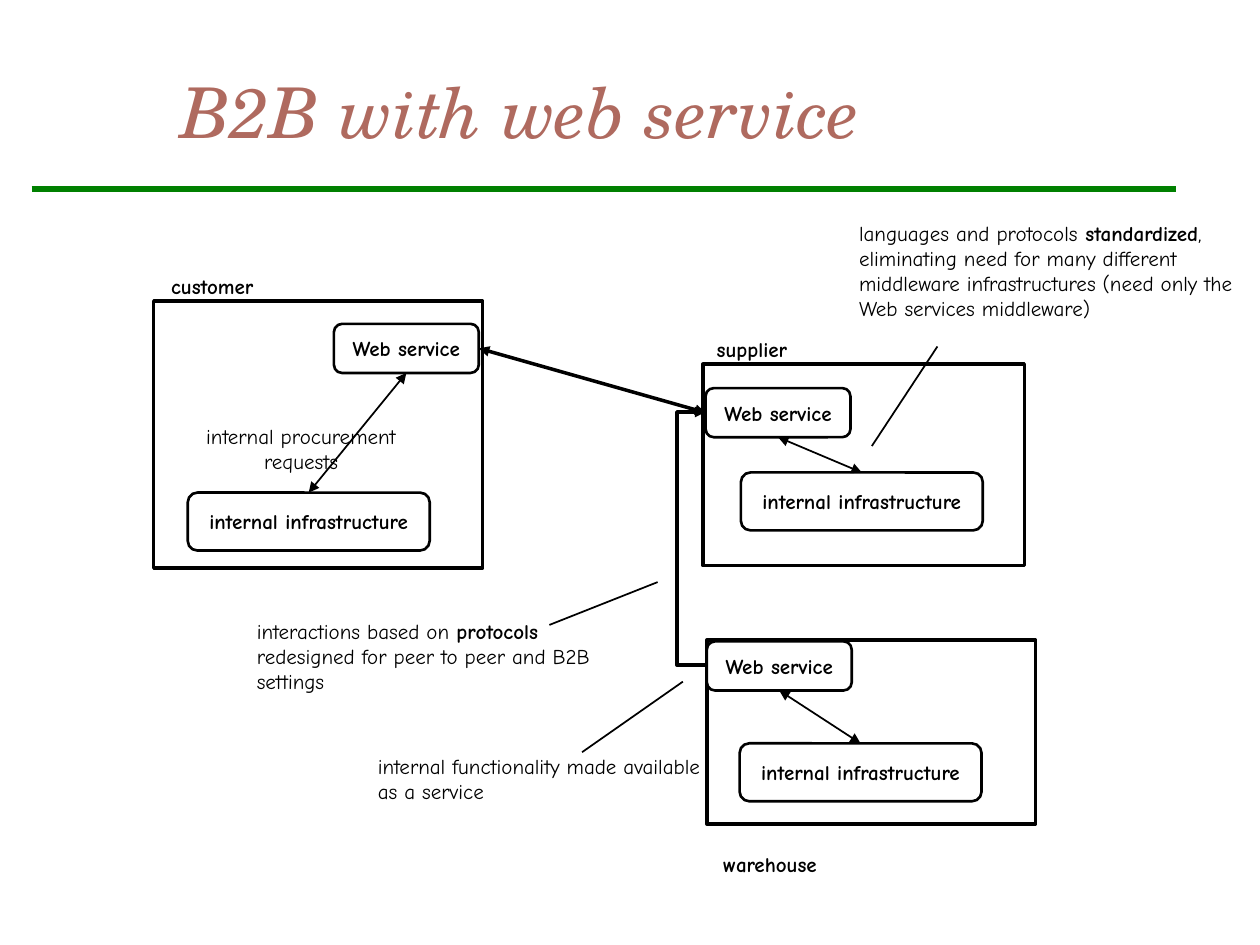
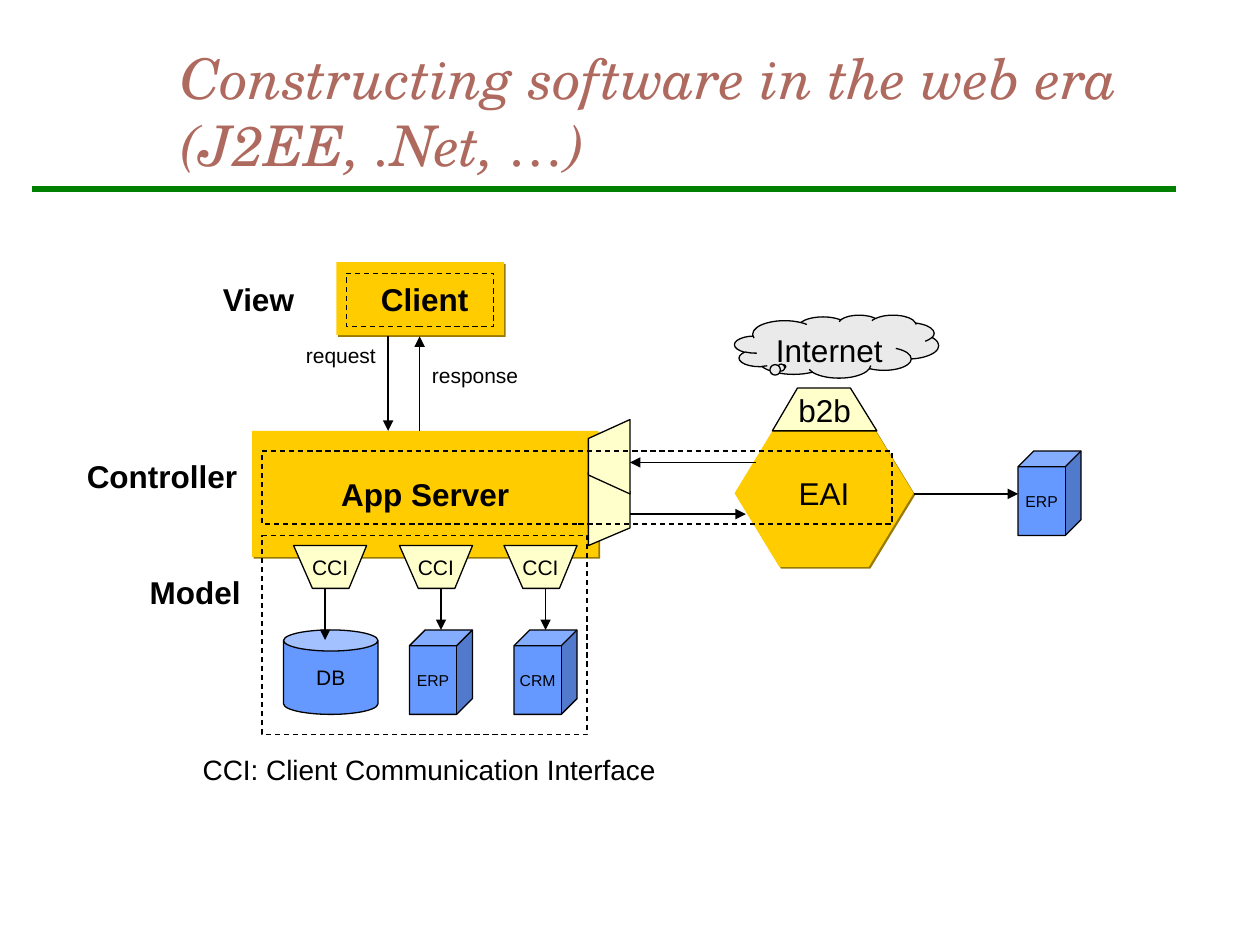
from dataclasses import dataclass

from lxml import etree
from pptx import Presentation
from pptx.dml.color import RGBColor
from pptx.enum.dml import MSO_LINE
from pptx.enum.shapes import MSO_CONNECTOR, MSO_SHAPE
from pptx.enum.text import MSO_ANCHOR, MSO_AUTO_SIZE, PP_ALIGN
from pptx.oxml import parse_xml
from pptx.oxml.ns import nsdecls, qn
from pptx.util import Inches, Pt

RECT, ROUND = MSO_SHAPE.RECTANGLE, MSO_SHAPE.ROUNDED_RECTANGLE
CAN, CUBE = MSO_SHAPE.CAN, MSO_SHAPE.CUBE
HEX, CLOUD = MSO_SHAPE.HEXAGON, MSO_SHAPE.CLOUD_CALLOUT
LINE, ELBOW = MSO_CONNECTOR.STRAIGHT, MSO_CONNECTOR.ELBOW
LEFT, CENTER = PP_ALIGN.LEFT, PP_ALIGN.CENTER
TOP, MIDDLE = MSO_ANCHOR.TOP, MSO_ANCHOR.MIDDLE
FIT, FIXED = MSO_AUTO_SIZE.SHAPE_TO_FIT_TEXT, MSO_AUTO_SIZE.NONE
DASH = MSO_LINE.DASH


@dataclass(frozen=True)
class Theme:
    ink: str = "000000"
    rule: str = "008000"
    title: str = "AF6A5F"
    white: str = "FFFFFF"
    gold: str = "FFCC00"
    shade: str = "997A00"
    blue: str = "6699FF"
    cream: str = "FFFFCC"
    gray: str = "EAEAEA"
    serif: str = "TeX Gyre Schola"
    comic: str = "Comic Neue"
    sans: str = "Arial"
    head: int = 40
    subhead: int = 32
    large: int = 18
    note: int = 16
    text: int = 12
    small: int = 9
    thin: float = 0.75
    fine: float = 1
    edge: float = 1.5
    bold: float = 2
    band: float = 4


T = Theme()


def box(slide, kind, at, text="", font=T.sans, size=T.text, fill=None,
        line=None, dash=None, wrap=False, adj=(), shadow=False):
    """Draw a preset shape, an outline (kind is a list of points) or, if kind
    is None, a text box. Stars in the text enclose bold runs."""
    shapes = slide.shapes
    if isinstance(kind, list):
        first, *rest = [(Inches(x), Inches(y)) for x, y in kind]
        pen = shapes.build_freeform(*first)
        pen.add_line_segments(rest, close=True)
        shape = pen.convert_to_shape()
    elif kind is None:
        shape = shapes.add_textbox(*map(Inches, at))
    else:
        shape = shapes.add_shape(kind, *map(Inches, at))
        for i, value in enumerate(adj):
            shape.adjustments[i] = value
    if kind is not None:
        shape.shadow.inherit = False
        if fill:
            shape.fill.solid()
            shape.fill.fore_color.rgb = RGBColor.from_string(fill)
        else:
            shape.fill.background()
        if line:
            shape.line.color.rgb = RGBColor.from_string(T.ink)
            shape.line.width = Pt(line)
            shape.line.dash_style = dash
        else:
            shape.line.fill.background()
    if shadow:
        shape._element.spPr.find(qn("a:effectLst")).append(parse_xml(
            f'<a:outerShdw {nsdecls("a")} dist="17780" dir="2700000" algn="ctr" '
            f'rotWithShape="0"><a:srgbClr val="{T.shade}"/></a:outerShdw>'))
    if text:
        frame = shape.text_frame
        frame.word_wrap = wrap
        frame.auto_size = FIT if kind is None else FIXED
        frame.vertical_anchor = TOP if kind in (None, CLOUD) else MIDDLE
        for n, words in enumerate(text.split("\n")):
            para = frame.add_paragraph() if n else frame.paragraphs[0]
            para.alignment = LEFT if kind is None else CENTER
            for i, part in enumerate(words.split("*")):
                if part:
                    run = para.add_run()
                    run.text = part
                    run.font.name, run.font.size = font, Pt(size)
                    run.font.bold = i % 2 == 1
                    run.font.color.rgb = RGBColor.from_string(T.ink)
    return shape


def link(slide, start, end, width, heads=(), color=T.ink, kind=LINE):
    """Connect two points, or two (shape, side) pairs."""
    joined = not isinstance(start[0], (int, float))
    ends = (0, 0, 0, 0) if joined else (*start, *end)
    wire = slide.shapes.add_connector(kind, *map(Inches, ends))
    if joined:
        wire.begin_connect(*start)
        wire.end_connect(*end)
    wire.line.color.rgb = RGBColor.from_string(color)
    wire.line.width = Pt(width)
    for tag in heads:
        etree.SubElement(wire.line._get_or_add_ln(), qn(f"a:{tag}"), type="triangle")
    etree.SubElement(wire._element.spPr, qn("a:effectLst"))
    return wire


BOTH, TAIL = ("headEnd", "tailEnd"), ("tailEnd",)

prs = Presentation()
prs.slide_width, prs.slide_height = Inches(10), Inches(7.5)

# Title and rule on both slides
slides = []
for lines, size in ((["B2B with web service"], T.head),
                    (["Constructing software in the web era", "(J2EE, .Net, …)"], T.subhead)):
    slide = prs.slides.add_slide(prs.slide_layouts[5])
    link(slide, (0.25, 1.5), (9.33, 1.5), T.band, color=T.rule)
    title = slide.shapes.title
    title.left, title.top = Inches(1.33), Inches(0.42)
    title.width, title.height = Inches(8.5), Inches(0.92)
    frame = title.text_frame
    frame.word_wrap, frame.auto_size = True, FIXED
    frame.vertical_anchor = MIDDLE
    para = frame.paragraphs[0]
    para.alignment = LEFT
    for n, words in enumerate(lines):
        if n:
            para.add_line_break()
        run = para.add_run()
        run.text = words
        run.font.name, run.font.size = T.serif, Pt(size)
        run.font.italic = True
        run.font.color.rgb = RGBColor.from_string(T.title)
    slides.append(slide)
b2b, web = slides

# Slide 1: three parties, each with a service and its infrastructure
parties = (
    # name, name box, frame, service corner, infrastructure corner
    ("customer", (1.26, 2.12, 0.9, 0.3), (1.22, 2.39, 2.61, 2.12), (2.65, 2.57), (1.49, 3.91)),
    ("supplier", (5.59, 2.62, 0.8, 0.3), (5.58, 2.89, 2.55, 1.6), (5.6, 3.08), (5.88, 3.75)),
    ("warehouse", (5.64, 6.71, 1, 0.3), (5.61, 5.08, 2.61, 1.46), (5.61, 5.09), (5.87, 5.9)),
)
ports = {}
for name, label, area, port, base in parties:
    box(b2b, RECT, area, line=T.bold)
    box(b2b, None, label, f"*{name}*", T.comic)
    ports[name] = box(b2b, ROUND, (*port, 1.15, 0.39), "*Web service*", T.comic,
                      fill=T.white, line=T.edge, wrap=True)
    infra = box(b2b, ROUND, (*base, 1.92, 0.46), "*internal infrastructure*", T.comic,
                line=T.edge, wrap=True)
    link(b2b, (infra, 0), (ports[name], 2), T.fine, BOTH)

link(b2b, (ports["customer"], 3), (ports["supplier"], 1), T.bold, BOTH)
bend = link(b2b, (5.61, 5.28), (5.6, 3.27), T.bold, TAIL, kind=ELBOW)
guides = bend._element.spPr.find(qn("a:prstGeom")).get_or_add_avLst()
etree.SubElement(guides, qn("a:gd"), name="adj1", fmla="val 2400000")

notes = (
    ((6.72, 1.7, 3.44, 1.1), "languages and protocols* standardized*, eliminating need for many "
     "different middleware infrastructures (need only the Web services middleware)"),
    ((2.9, 5.93, 2.86, 0.7), "internal functionality made available as a service"),
    ((1.94, 4.86, 3.21, 0.9), "interactions based on *protocols *redesigned for peer to peer "
     "and B2B settings"),
)
for at, text in notes:
    box(b2b, None, at, text, T.comic, wrap=True)
asks = box(b2b, None, (1.51, 3.31, 1.76, 0.5), "internal procurement\nrequests", T.comic)
for para in asks.text_frame.paragraphs:
    para.alignment = CENTER

for start, end in (((4.62, 5.97), (5.42, 5.41)), ((4.36, 4.96), (5.22, 4.62)),
                   ((6.92, 3.54), (7.44, 2.75))):
    link(b2b, start, end, T.fine)

# Slide 2: client and server
box(web, RECT, (2, 3.42, 2.75, 1), "*App Server*", size=T.large, fill=T.gold, shadow=True)
client = box(web, RECT, (2.67, 2.08, 1.33, 0.58), "*Client*", size=T.large,
             fill=T.gold, shadow=True)
client.text_frame.margin_left = Inches(0.17)

# Back ends, each behind a CCI adapter
stores = (
    # adapter left, shape, box, name, size, arrow x, arrow end
    (2.33, CAN, (2.25, 5, 0.75, 0.67), "DB", T.text, 2.58, 5.08),
    (3.17, CUBE, (3.25, 5, 0.5, 0.67), "ERP", T.small, 3.5, 5),
    (4, CUBE, (4.08, 5, 0.5, 0.67), "CRM", T.small, 4.33, 5),
)
for x, kind, at, name, size, mid, stop in stores:
    box(web, [(x, 4.33), (x + 0.15, 4.67), (x + 0.44, 4.67), (x + 0.58, 4.33)], None,
        "CCI", fill=T.cream, line=T.thin)
    box(web, kind, at, name, size=size, fill=T.blue, line=T.thin, adj=(0.25,))
    link(web, (mid, 4.67), (mid, stop), T.thin, TAIL)

# Integration side
box(web, CUBE, (8.08, 3.58, 0.5, 0.67), "ERP", size=T.small, fill=T.blue,
    line=T.thin, adj=(0.25,))
box(web, HEX, (5.83, 3.33, 1.42, 1.17), "EAI", size=T.large, fill=T.gold,
    adj=(0.304,), shadow=True)
for gate in ([(4.67, 4.33), (5, 4.19), (5, 3.9), (4.67, 3.75)],
             [(5, 3.33), (4.67, 3.48), (4.67, 3.77), (5, 3.92)]):
    box(web, gate, None, fill=T.cream, line=T.thin)
box(web, [(6.96, 3.42), (6.75, 3.08), (6.33, 3.08), (6.13, 3.42)], None, "b2b",
    size=T.large, fill=T.cream, line=T.thin)
box(web, CLOUD, (5.83, 2.5, 1.62, 0.5), "Internet", size=T.large, fill=T.gray,
    line=T.thin, wrap=True, adj=(-0.258, 0.319))

for start, end in (((3.08, 2.67), (3.08, 3.42)), ((3.33, 3.42), (3.33, 2.67)),
                   ((5, 4.08), (5.92, 4.08)), ((6, 3.67), (5, 3.67)),
                   ((7.25, 3.92), (8.08, 3.92))):
    link(web, start, end, T.thin, TAIL)

# Dashed outlines of view, controller and model
for at in ((2.75, 2.17, 1.17, 0.42), (2.08, 3.58, 5, 0.58), (2.08, 4.25, 2.58, 1.58)):
    box(web, RECT, at, line=T.thin, dash=DASH)

labels = (
    ((1.67, 2.17, 0.82, 0.4), "*View*", T.large),
    ((0.59, 3.58, 1.45, 0.4), "*Controller*", T.large),
    ((1.09, 4.5, 0.97, 0.4), "*Model*", T.large),
    ((2.33, 2.67, 0.8, 0.3), "request", T.text),
    ((3.33, 2.83, 0.93, 0.3), "response", T.text),
    ((1.51, 5.92, 3.85, 0.37), "CCI: Client Communication Interface", T.note),
)
for at, text, size in labels:
    box(web, None, at, text, size=size)

prs.save("out.pptx")
